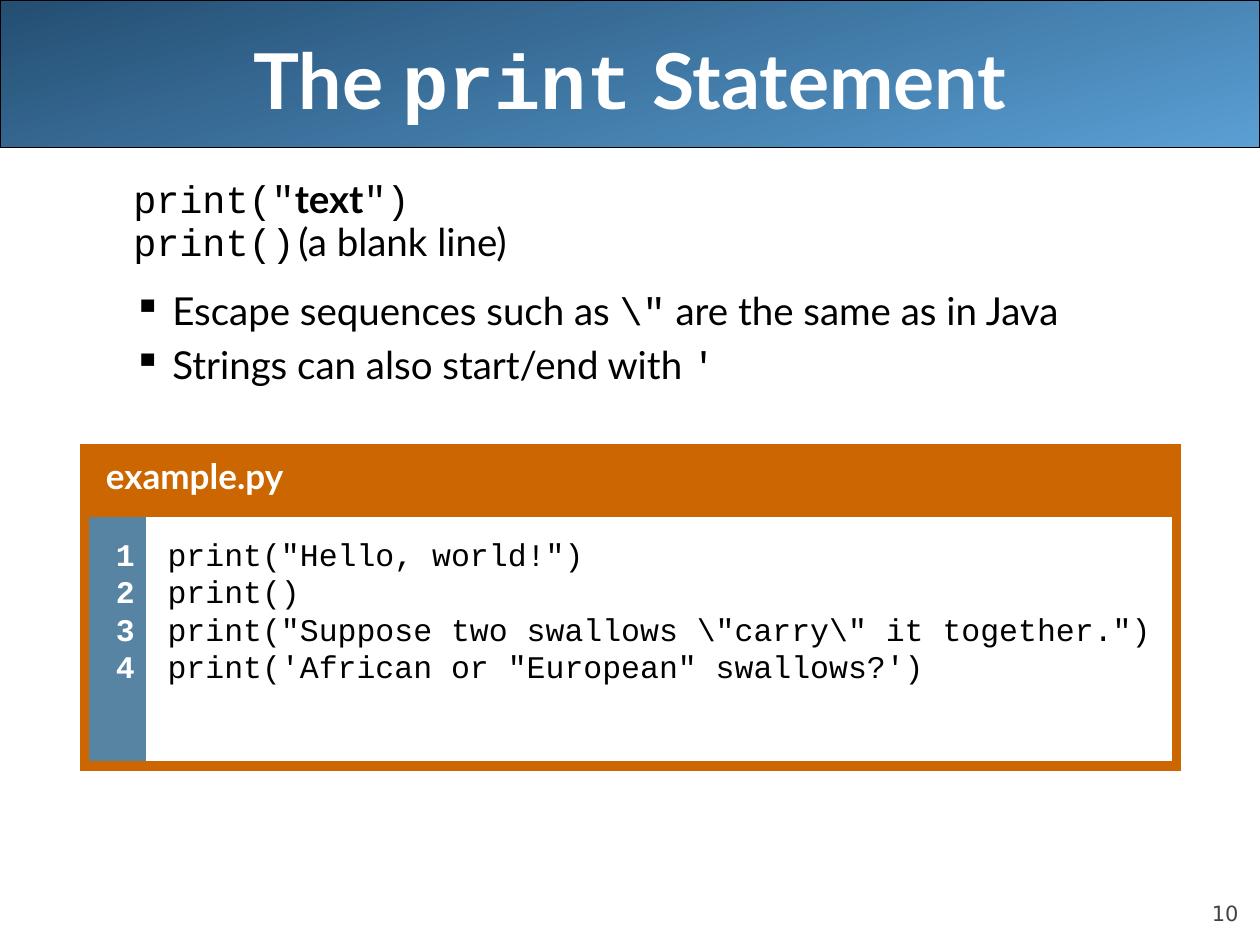
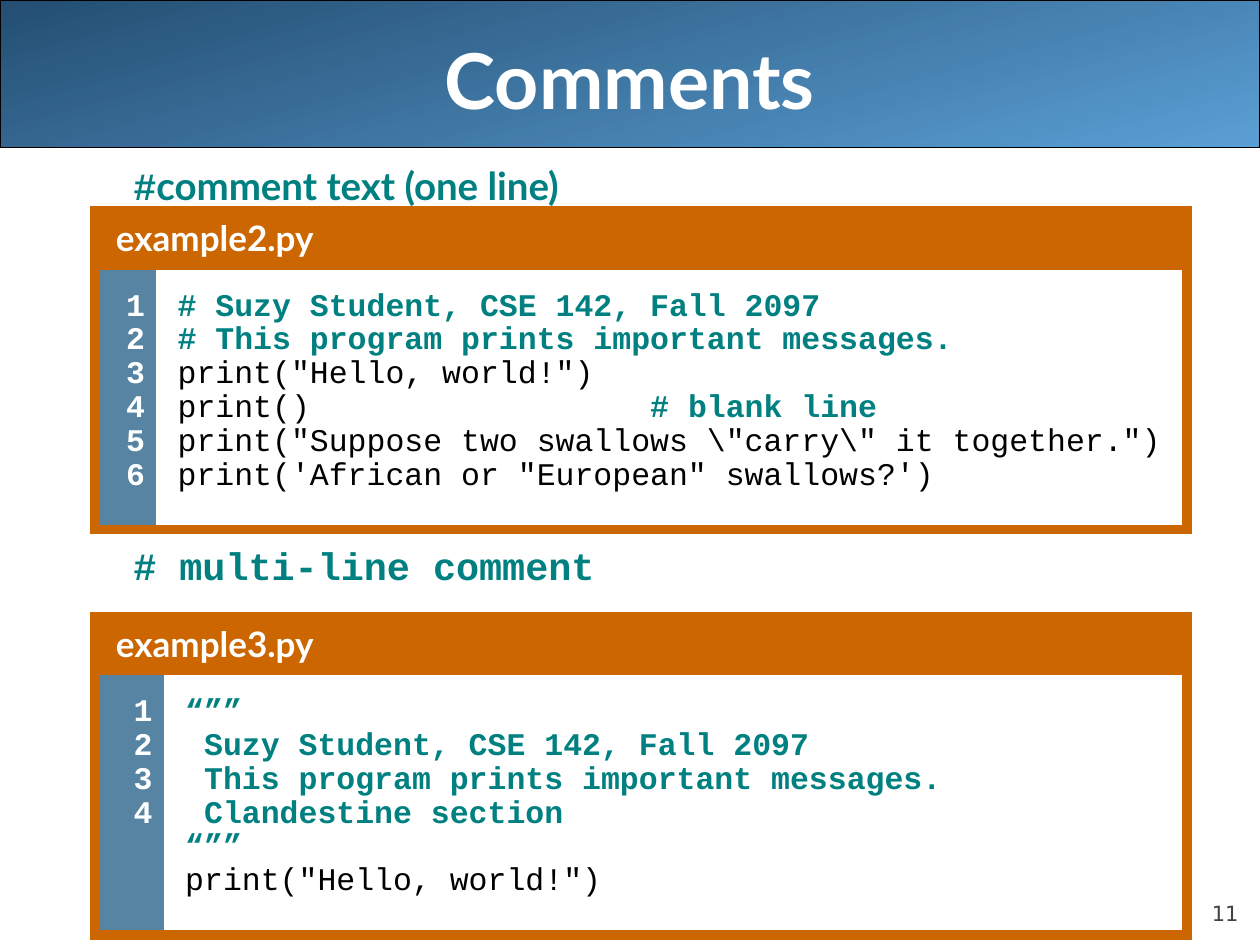
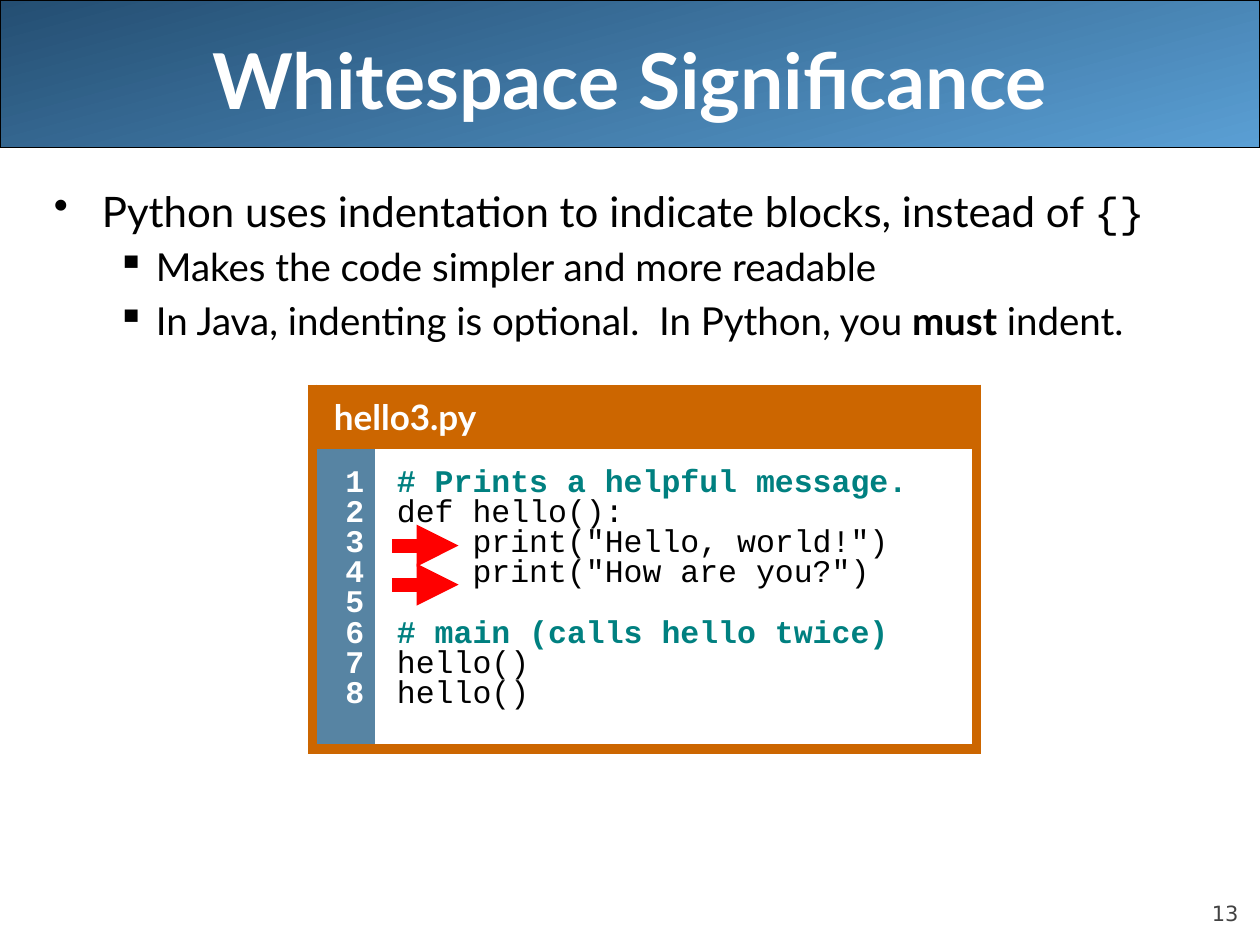
from lxml import etree
from pptx import Presentation
from pptx import util as u
from pptx.dml.color import RGBColor
from pptx.enum import shapes, text
from pptx.oxml.ns import qn

COLORS = {
    "band_dark": "244E72", "band_light": "5A9FD4", "white": "FFFFFF",
    "black": "000000", "number": "424242", "frame": "CC6600",
    "gutter": "5784A3", "comment": "008080", "arrow": "FF0000",
}
SANS, MONO, FOOTER = "Lato", "Courier New", "DejaVu Sans"
DOCSTRING = "“””"


def color(name):
    return RGBColor.from_string(COLORS[name])


def style(font, name=None, size=None, bold=None, ink=None):
    if name:
        font.name = name
    if size:
        font.size = u.Pt(size)
    if bold is not None:
        font.bold = bold
    if ink:
        font.color.rgb = color(ink)


def add_paragraph(frame, spans, size, name=SANS, bold=False, ink="black", align="LEFT",
                  margin=0, indent=0, bullet=None, spacing=None, before=None):
    """Add spans, each a string or a (string, font changes) pair."""
    para = frame.paragraphs[0]
    if para.runs:
        para = frame.add_paragraph()
    para.alignment = getattr(text.PP_ALIGN, align)
    para.space_before = u.Pt(0.2 * size if before is None else before)
    if spacing:
        para.line_spacing = spacing
    properties = para._p.get_or_add_pPr()
    properties.set("marL", str(u.Inches(margin)))
    properties.set("indent", str(u.Inches(indent)))
    if bullet:
        etree.SubElement(properties, qn("a:buChar")).set("char", bullet)
    style(para.font, name, size, bold, ink)
    for span in [spans] if isinstance(spans, str) else spans:
        words, changes = (span, {}) if isinstance(span, str) else span
        run = para.add_run()
        run.text = words
        style(run.font, **changes)


def add_text_box(page, left, top, width, height, anchor="TOP", inset=None):
    box = page.shapes.add_textbox(*map(u.Inches, (left, top, width, height)))
    frame = box.text_frame
    frame.word_wrap = True
    frame.vertical_anchor = getattr(text.MSO_ANCHOR, anchor)
    if inset is not None:
        frame.margin_left = frame.margin_right = u.Inches(inset)
        frame.margin_top = frame.margin_bottom = u.Inches(inset)
    return frame


def add_page(deck, title, number):
    """Blank page with the title band and the page number."""
    page = deck.slides.add_slide(deck.slide_layouts[6])
    band = page.shapes.add_shape(shapes.MSO_SHAPE.ROUNDED_RECTANGLE, 0, 0,
                                 deck.slide_width, u.Inches(1.17))
    band.adjustments[0] = 0
    band.shadow.inherit = False
    band.fill.gradient()
    band.fill.gradient_angle = 285
    for stop, name in zip(band.fill.gradient_stops, ("band_dark", "band_light")):
        stop.color.rgb = color(name)
    band.line.color.rgb = color("black")
    band.line.width = u.Pt(0.75)
    add_paragraph(add_text_box(page, 9, 6.95, 0.83, 0.4, "BOTTOM", 0), str(number),
                  12, FOOTER, ink="number", align="RIGHT", before=5)
    add_paragraph(add_text_box(page, 0.5, 0, 9, 1.25, "MIDDLE"), title,
                  44, bold=True, ink="white", align="CENTER", before=0)
    return page


# Code listings

def set_borders(cell, sides):
    """Draw the frame on the given sides, and nothing on the others."""
    properties = cell._tc.get_or_add_tcPr()
    for position, side in enumerate("LRTB"):
        line = etree.Element(qn(f"a:ln{side}"))
        if side in sides:
            line.set("w", str(u.Pt(6)))
            fill = etree.SubElement(line, qn("a:solidFill"))
            etree.SubElement(fill, qn("a:srgbClr")).set("val", COLORS["frame"])
        else:
            etree.SubElement(line, qn("a:noFill"))
        properties.insert(position, line)


def format_cell(cell, fill, sides, vertical=0.05, right=0.05):
    cell.fill.solid()
    cell.fill.fore_color.rgb = color(fill)
    cell.margin_left, cell.margin_right = u.Inches(0.05), u.Inches(right)
    cell.margin_top = cell.margin_bottom = u.Inches(vertical)
    set_borders(cell, sides)


def code_spans(lines):
    """Split each line into plain code and highlighted comment."""
    highlight = {"bold": True, "ink": "comment"}
    inside = False
    for line in lines:
        if inside or line == DOCSTRING:
            yield [(line, highlight)]
            inside ^= line == DOCSTRING
        else:
            code, mark, comment = line.partition("#")
            spans = [code] if code else []
            yield spans + ([(mark + comment, highlight)] if mark else [])


def add_listing(page, box, name, lines, count, spacing, header=0.43, gutter=0.49):
    left, top, width, height = box
    graphic = page.shapes.add_table(2, 2, *map(u.Inches, box))
    table = graphic.table
    table.first_row = table.horz_banding = False
    for column, size in zip(table.columns, (gutter, width - gutter)):
        column.width = u.Inches(size)
    for row, size in zip(table.rows, (header, height - header)):
        row.height = u.Inches(size)

    table.cell(0, 0).merge(table.cell(0, 1))
    for column in range(2):
        format_cell(table.cell(0, column), "frame", "LRTB")
    add_paragraph(table.cell(0, 0).text_frame, name, 20, bold=True, ink="white", margin=0.12)

    numbers, body = table.cell(1, 0), table.cell(1, 1)
    format_cell(numbers, "gutter", "LTB", 0.23, 0.09)
    format_cell(body, "white", "RTB", 0.23, 0.18)
    common = {"size": 18, "name": MONO, "margin": 0.12, "spacing": spacing}
    for number in range(1, count + 1):
        add_paragraph(numbers.text_frame, str(number), bold=True, ink="white",
                      align="RIGHT", **common)
    before = gap = 3.6
    for spans in code_spans(lines):
        if spans:
            add_paragraph(body.text_frame, spans, before=before, **common)
            before = gap
        else:
            before += gap + 20.4 * spacing  # an empty line becomes space


def add_arrow(page, left, top, length):
    arrow = page.shapes.add_connector(shapes.MSO_CONNECTOR.STRAIGHT, u.Inches(left),
                                      u.Inches(top), u.Inches(left + length), u.Inches(top))
    arrow.line.color.rgb = color("arrow")
    arrow.line.width = u.Pt(8)
    etree.SubElement(arrow.line._get_or_add_ln(), qn("a:tailEnd")).set("type", "triangle")
    etree.SubElement(arrow._element.spPr, qn("a:effectLst"))


# Pages

MONO_SPAN = {"name": MONO}
SYNTAX = {"size": 22, "margin": 0.94, "indent": -0.31, "spacing": 0.77}
SWALLOWS = [
    r'print("Suppose two swallows \"carry\" it together.")',
    "print('African or \"European\" swallows?')",
]


def print_page(deck):
    page = add_page(deck, ["The ", ("print", MONO_SPAN), " Statement"], 10)
    frame = add_text_box(page, 0.33, 1.42, 9.5, 2)
    add_paragraph(frame, ['print("', ("text", {"name": SANS, "bold": True}), '")'],
                  name=MONO, **SYNTAX)
    add_paragraph(frame, [("print()", MONO_SPAN), "\t(a blank line)"], **SYNTAX)
    points = {"size": 22, "margin": 0.94, "indent": -0.31, "bullet": "▪"}
    add_paragraph(frame, ["Escape sequences such as ", ('\\"', MONO_SPAN),
                          " are the same as in Java"], before=13.4, **points)
    add_paragraph(frame, ["Strings can also start/end with ", ("'", MONO_SPAN)], **points)
    add_listing(page, (0.67, 3.56, 8.67, 2.52), "example.py",
                ['print("Hello, world!")', "print()", *SWALLOWS], 4, 0.87, header=0.51)


def comments_page(deck):
    page = add_page(deck, "Comments", 11)
    teal = {"bold": True, "ink": "comment", **SYNTAX}
    add_paragraph(add_text_box(page, 0.33, 1.32, 9.5, 0.4),
                  [("#", MONO_SPAN), "comment text (one line)"], **teal)
    add_paragraph(add_text_box(page, 0.33, 4.33, 9.5, 0.4),
                  "# multi-line comment", name=MONO, **teal)
    add_listing(page, (0.75, 1.67, 8.67, 2.44), "example2.py", [
        "# Suzy Student, CSE 142, Fall 2097",
        "# This program prints important messages.",
        'print("Hello, world!")',
        f"{'print()':<25}# blank line",
        *SWALLOWS,
    ], 6, 0.77)
    add_listing(page, (0.75, 4.89, 8.67, 2.44), "example3.py", [
        DOCSTRING,
        " Suzy Student, CSE 142, Fall 2097",
        " This program prints important messages.",
        " Clandestine section",
        DOCSTRING,
        'print("Hello, world!")',
    ], 4, 0.77, gutter=0.55)


def whitespace_page(deck):
    page = add_page(deck, "Whitespace Significance", 13)
    frame = add_text_box(page, 0.33, 1.42, 9.5, 1.5)
    add_paragraph(frame, ["Python uses indentation to indicate blocks, instead of ",
                          ("{}", MONO_SPAN)], 24, margin=0.38, indent=-0.38, bullet="•")
    for spans in ("Makes the code simpler and more readable",
                  ["In Java, indenting is optional.  In Python, you ",
                   ("must", {"bold": True}), " indent."]):
        add_paragraph(frame, spans, 22, margin=0.81, indent=-0.31, bullet="▪")
    left, top = 2.48, 3.09
    add_listing(page, (left, top, 5.27, 2.76), "hello3.py", [
        "# Prints a helpful message.",
        "def hello():",
        '    print("Hello, world!")',
        '    print("How are you?")',
        "",
        "# main (calls hello twice)",
        "hello()",
        "hello()",
    ], 8, 0.67, gutter=0.5)
    for row in range(2):
        add_arrow(page, left + 0.63, top + 1.24 + 0.31 * row, 0.53)


def main():
    deck = Presentation()
    deck.slide_width, deck.slide_height = u.Inches(10), u.Inches(7.5)
    for build in (print_page, comments_page, whitespace_page):
        build(deck)
    deck.save("out.pptx")


if __name__ == "__main__":
    main()
